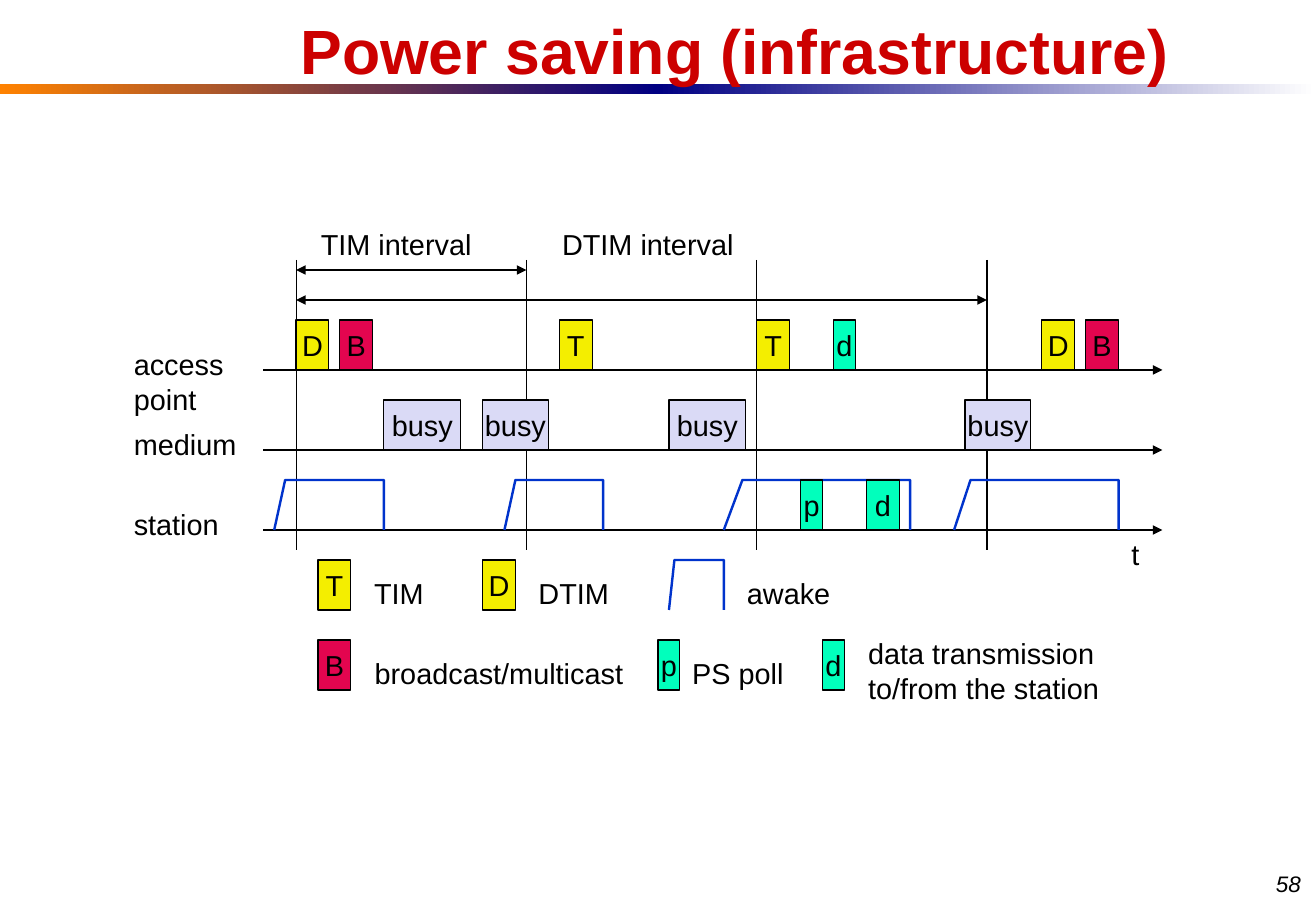
"""Build the slide on power saving in infrastructure networks."""
from dataclasses import dataclass

from lxml import etree
from pptx import Presentation
from pptx import util as u
from pptx.dml import color
from pptx.enum import shapes, text
from pptx.oxml import ns

WIDTH, HEIGHT = u.Inches(11.4), u.Inches(7.8)
COLUMN, ROW = WIDTH / 120, HEIGHT / 90
BLOCK_ROWS = 5
AXIS_START, AXIS_END = 24, 106
POINT_AXIS, MEDIUM_AXIS, STATION_AXIS = 37, 45, 53
BEACONS = [27, 48, 69, 90]
LEGEND_TOP, LEGEND_BOTTOM = 56, 64
COLORS = {
    "black": "000000", "title": "CC0000", "awake": "0033CC", "orange": "FF8200",
    "navy": "000082", "white": "FFFFFF", "busy": "DADAF6", "D": "F4EE00",
    "T": "F4EE00", "B": "E3054F", "p": "01FFBC", "d": "01FFBC",
}


@dataclass(frozen=True)
class Block:
    """A lettered rectangle whose width is counted in columns."""
    name: str
    column: float
    row: float
    columns: float = 3


@dataclass(frozen=True)
class Label:
    """Free text whose box is measured in columns and rows."""
    words: str
    column: float
    row: float
    columns: float
    rows: float = 4.7


@dataclass(frozen=True)
class Awake:
    """A waking period: start, fully awake and end columns."""
    start: float
    full: float
    end: float
    bottom: float = STATION_AXIS


POINT_ROW, MEDIUM_ROW, STATION_ROW = (
    axis - BLOCK_ROWS for axis in (POINT_AXIS, MEDIUM_AXIS, STATION_AXIS))

BLOCKS = [
    *(Block(name, column, POINT_ROW) for name, column in
      [("D", 27), ("B", 31), ("T", 51), ("T", 69), ("D", 95), ("B", 99)]),
    Block("d", 76, POINT_ROW, 2),
    *(Block("busy", column, MEDIUM_ROW, columns) for column, columns in
      [(35, 7), (44, 6), (61, 7), (88, 6)]),
    Block("p", 73, STATION_ROW, 2),
    Block("d", 79, STATION_ROW),
    Block("T", 29, LEGEND_TOP),
    Block("D", 44, LEGEND_TOP),
    Block("B", 29, LEGEND_BOTTOM),
    Block("p", 60, LEGEND_BOTTOM, 2),
    Block("d", 75, LEGEND_BOTTOM, 2),
]

LABELS = [
    Label("TIM interval", 28.1, 22.1, 16.3),
    Label("DTIM interval", 50.1, 22.1, 18.3),
    Label("access\npoint", 11.05, 34.1, 10.7, 8.2),
    Label("medium", 11.05, 42.1, 12),
    Label("station", 11.05, 50.1, 10.4),
    Label("t", 102, 53.1, 3.3),
    Label("TIM", 32.95, 57, 7.2),
    Label("DTIM", 47.95, 57, 9),
    Label("awake", 66.95, 57, 10.3),
    Label("broadcast/multicast", 33, 65, 25.5),
    Label("PS poll", 61.95, 65, 11),
    Label("data transmission\nto/from the station", 78, 63, 24, 8.1),
]

PERIODS = [
    Awake(25, 26, 35), Awake(46, 47, 55), Awake(66, 67.7, 83),
    Awake(87, 88.5, 102), Awake(61, 61.5, 66, LEGEND_TOP + BLOCK_ROWS),
]


def x(columns: float) -> u.Emu:
    """Turn columns into a length."""
    return u.Emu(round(columns * COLUMN))


def y(rows: float) -> u.Emu:
    """Turn rows into a length."""
    return u.Emu(round(rows * ROW))


def rgb(name: str) -> color.RGBColor:
    """Look up a named colour."""
    return color.RGBColor.from_string(COLORS[name])


def write(shape, words: str, *, size: float = 18, tint: str = "black",
          bold: bool = False, italic: bool = False, centred: bool = False,
          middle: bool = False, margin: float = 0.11, spacing: float = 1) -> None:
    """Fill a shape with formatted text, one paragraph per line."""
    frame = shape.text_frame
    frame.word_wrap = False
    frame.margin_left = frame.margin_right = u.Inches(margin)
    frame.margin_top = frame.margin_bottom = u.Inches(0.05)
    frame.vertical_anchor = text.MSO_ANCHOR.MIDDLE if middle else text.MSO_ANCHOR.TOP
    frame.text = words
    for para in frame.paragraphs:
        para.alignment = text.PP_ALIGN.CENTER if centred else text.PP_ALIGN.LEFT
        para.line_spacing = spacing
        for span in para.runs:
            font = span.font
            font.name, font.size = "Arial", u.Pt(size)
            font.bold, font.italic = bold, italic
            font.color.rgb = rgb(tint)


def add_label(page, label: Label, **style) -> None:
    """Place a text box."""
    box = page.shapes.add_textbox(
        x(label.column), y(label.row), x(label.columns), y(label.rows))
    write(box, label.words, **style)


def add_rectangle(page, column: float, row: float, columns: float, rows: float):
    """Place a rectangle without a shadow."""
    box = page.shapes.add_shape(
        shapes.MSO_SHAPE.RECTANGLE, x(column), y(row), x(columns), y(rows))
    box.shadow.inherit = False
    return box


def add_block(page, block: Block) -> None:
    """Place a coloured block with its name."""
    box = add_rectangle(page, block.column, block.row, block.columns, BLOCK_ROWS)
    box.fill.solid()
    box.fill.fore_color.rgb = rgb(block.name)
    box.line.color.rgb = rgb("black")
    box.line.width = u.Pt(0.75)
    write(box, block.name, centred=True, middle=True, margin=0)


def add_band(page, column: float, first: str, last: str) -> None:
    """Place half of the gradient band under the title."""
    box = add_rectangle(page, column, 8.4, 60, 1)
    box.line.fill.background()
    box.fill.gradient()
    box.fill.gradient_angle = 0
    for stop, name in zip(box.fill.gradient_stops, (first, last)):
        stop.color.rgb = rgb(name)


def add_line(page, start: tuple[float, float], end: tuple[float, float],
             *arrows: str) -> None:
    """Draw a thin line with the given arrow ends."""
    line = page.shapes.add_connector(
        shapes.MSO_CONNECTOR.STRAIGHT, x(start[0]), y(start[1]), x(end[0]), y(end[1]))
    line.line.color.rgb = rgb("black")
    line.line.width = u.Pt(0.75)
    for arrow in arrows:
        etree.SubElement(line.line._get_or_add_ln(), ns.qn(f"a:{arrow}"), type="triangle")
    etree.SubElement(line._element.spPr, ns.qn("a:effectLst"))


def add_awake(page, period: Awake) -> None:
    """Draw the outline of a waking period."""
    top = period.bottom - BLOCK_ROWS
    builder = page.shapes.build_freeform(x(period.start), y(period.bottom))
    builder.add_line_segments(
        [(x(period.full), y(top)), (x(period.end), y(top)),
         (x(period.end), y(period.bottom))], close=False)
    outline = builder.convert_to_shape()
    outline.shadow.inherit = False
    outline.fill.background()
    outline.line.color.rgb = rgb("awake")
    outline.line.width = u.Pt(1.5)


def main() -> None:
    """Draw the timing diagram and save the deck."""
    deck = Presentation()
    deck.slide_width, deck.slide_height = WIDTH, HEIGHT
    page = deck.slides.add_slide(deck.slide_layouts[6])
    add_band(page, 0, "orange", "navy")
    add_band(page, 60, "navy", "white")
    add_label(page, Label("58", 115.3, 86.4, 4.7, 3.6), size=14, italic=True, margin=0.1)
    add_label(page, Label("Power saving (infrastructure)", 19, -2.1, 96, 15), size=39,
              tint="title", bold=True, centred=True, middle=True, spacing=0.93)
    for axis in (POINT_AXIS, MEDIUM_AXIS, STATION_AXIS):
        add_line(page, (AXIS_START, axis), (AXIS_END, axis), "tailEnd")
    for beacon in BEACONS:
        add_line(page, (beacon, 26), (beacon, 55))
    for row, last in ((27, BEACONS[1]), (30, BEACONS[-1])):
        add_line(page, (BEACONS[0], row), (last, row), "headEnd", "tailEnd")
    for period in PERIODS:
        add_awake(page, period)
    for block in BLOCKS:
        add_block(page, block)
    for label in LABELS:
        add_label(page, label)
    deck.save("out.pptx")


if __name__ == "__main__":
    main()
